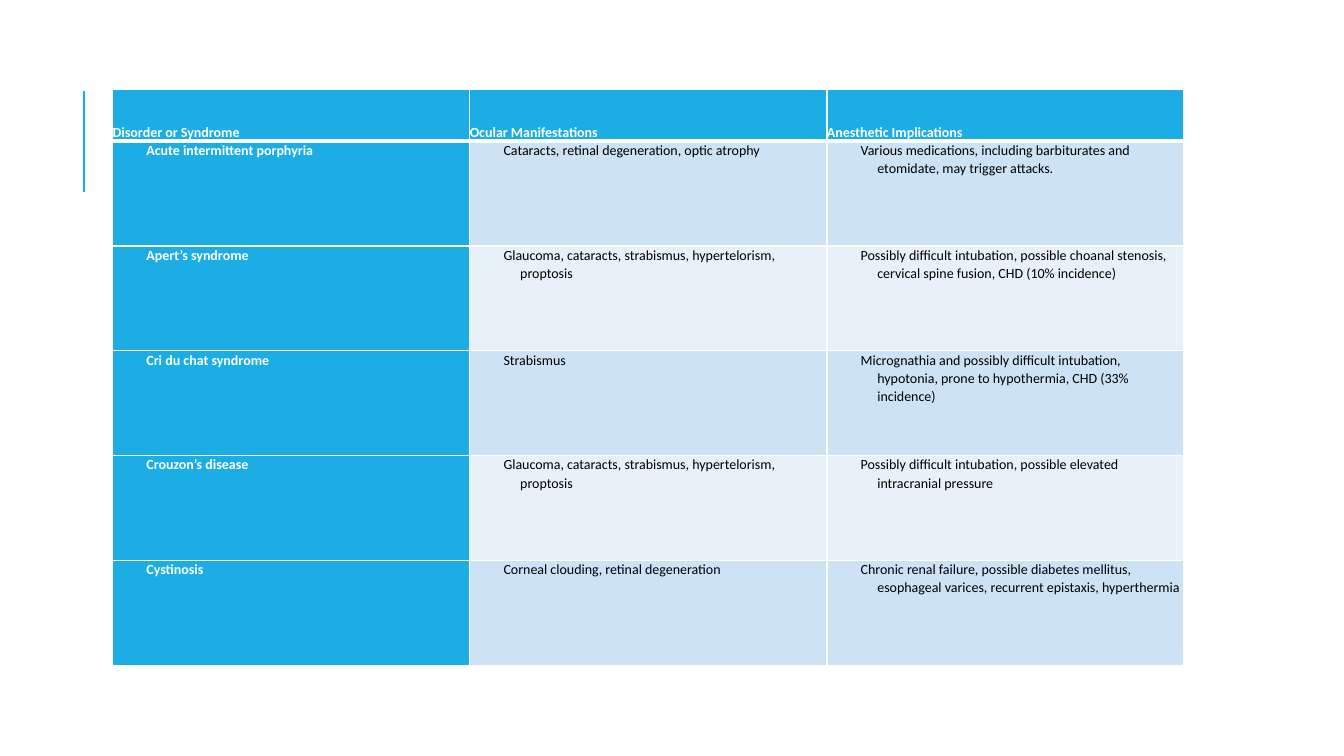
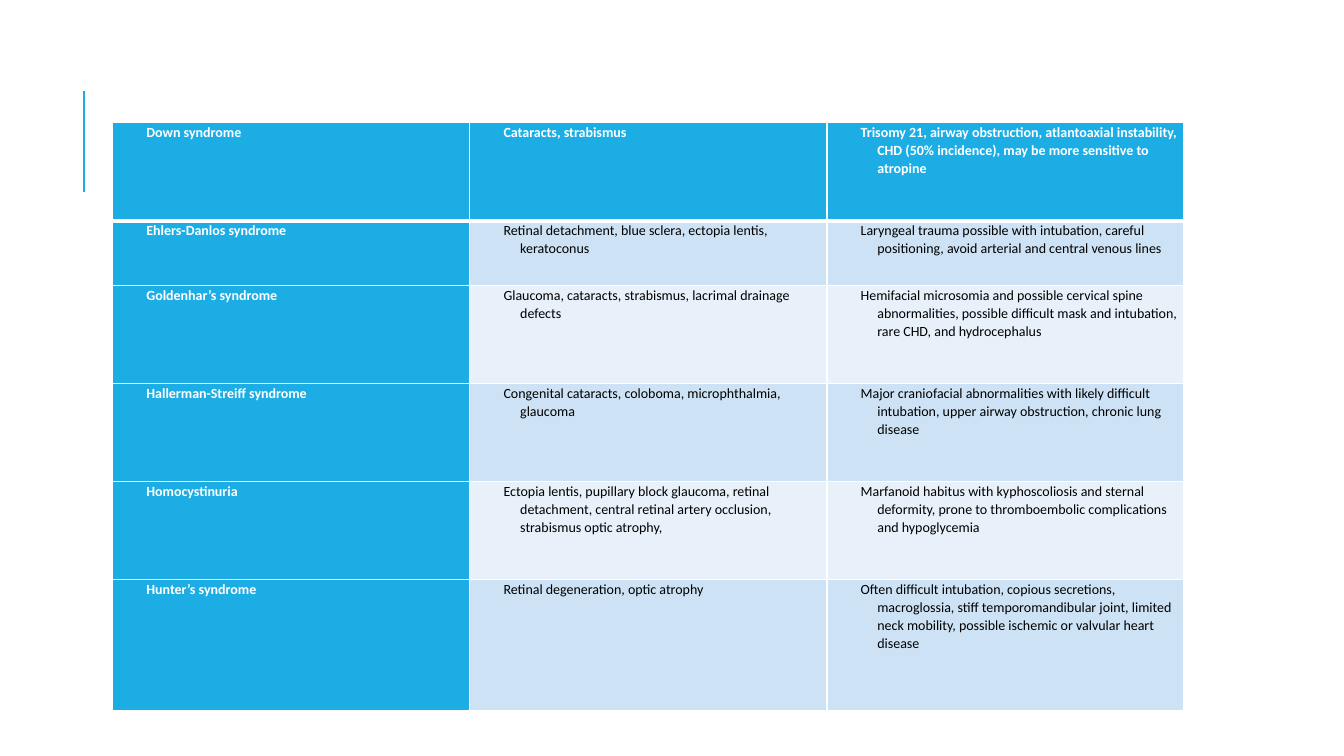
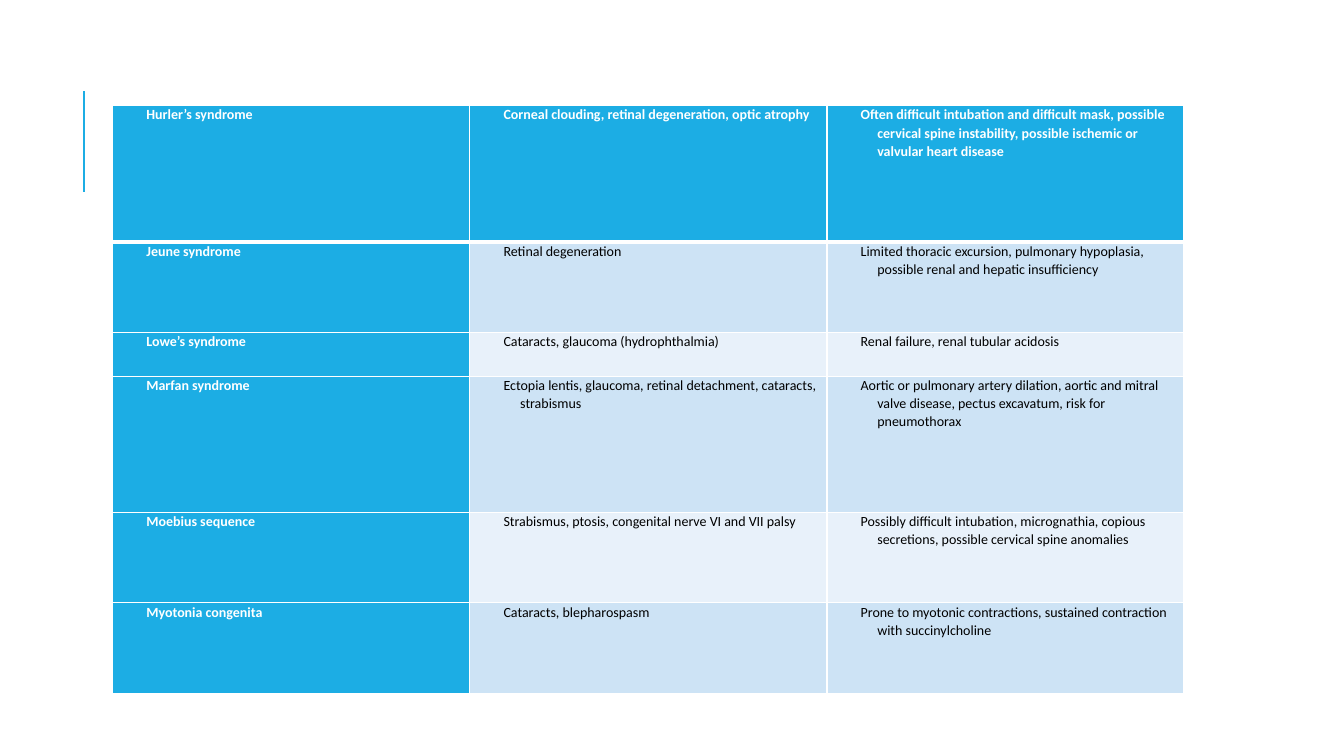
from lxml import etree
from pptx import Presentation
from pptx.dml.color import RGBColor
from pptx.enum.shapes import MSO_CONNECTOR
from pptx.enum.text import MSO_ANCHOR
from pptx.oxml.ns import qn
from pptx.util import Cm, Pt

STRAIGHT = MSO_CONNECTOR.STRAIGHT
TOP, BOTTOM = MSO_ANCHOR.TOP, MSO_ANCHOR.BOTTOM

# Shared look
ACCENT = RGBColor(0x1C, 0xAD, 0xE4)
BAND_DARK = RGBColor(0xCD, 0xE3, 0xF5)
BAND_LIGHT = RGBColor(0xE8, 0xF1, 0xFA)
WHITE = RGBColor(0xFF, 0xFF, 0xFF)
BLACK = RGBColor(0x00, 0x00, 0x00)
FONT = "Calibri"
TABLE_LEFT = 2.84
COLUMN_WIDTH = 9
CELL_INDENT = 0.85
HANGING = 0.42
THIN, THICK = 1, 3

# Table contents
HEADINGS = ("Disorder or Syndrome", "Ocular Manifestations", "Anesthetic Implications")
DISORDERS_A_TO_C = [
    ("Acute intermittent porphyria",
     "Cataracts, retinal degeneration, optic atrophy",
     "Various medications, including barbiturates and etomidate, may trigger attacks."),
    ("Apert’s syndrome",
     "Glaucoma, cataracts, strabismus, hypertelorism, proptosis",
     "Possibly difficult intubation, possible choanal stenosis, cervical spine fusion, "
     "CHD (10% incidence)"),
    ("Cri du chat syndrome",
     "Strabismus",
     "Micrognathia and possibly difficult intubation, hypotonia, prone to hypothermia, "
     "CHD (33% incidence)"),
    ("Crouzon’s disease",
     "Glaucoma, cataracts, strabismus, hypertelorism, proptosis",
     "Possibly difficult intubation, possible elevated intracranial pressure"),
    ("Cystinosis",
     "Corneal clouding, retinal degeneration",
     "Chronic renal failure, possible diabetes mellitus, esophageal varices, "
     "recurrent epistaxis, hyperthermia"),
]
DISORDERS_D_TO_HUN = [
    ("Down syndrome",
     "Cataracts, strabismus",
     "Trisomy 21, airway obstruction, atlantoaxial instability, CHD (50% incidence), "
     "may be more sensitive to atropine"),
    ("Ehlers-Danlos syndrome",
     "Retinal detachment, blue sclera, ectopia lentis, keratoconus",
     "Laryngeal trauma possible with intubation, careful positioning, "
     "avoid arterial and central venous lines"),
    ("Goldenhar’s syndrome",
     "Glaucoma, cataracts, strabismus, lacrimal drainage defects",
     "Hemifacial microsomia and possible cervical spine abnormalities, "
     "possible difficult mask and intubation, rare CHD, and hydrocephalus"),
    ("Hallerman-Streiff syndrome",
     "Congenital cataracts, coloboma, microphthalmia, glaucoma",
     "Major craniofacial abnormalities with likely difficult intubation, "
     "upper airway obstruction, chronic lung disease"),
    ("Homocystinuria",
     "Ectopia lentis, pupillary block glaucoma, retinal detachment, "
     "central retinal artery occlusion, strabismus optic atrophy,",
     "Marfanoid habitus with kyphoscoliosis and sternal deformity, "
     "prone to thromboembolic complications and hypoglycemia"),
    ("Hunter’s syndrome",
     "Retinal degeneration, optic atrophy",
     "Often difficult intubation, copious secretions, macroglossia, "
     "stiff temporomandibular joint, limited neck mobility, "
     "possible ischemic or valvular heart disease"),
]
DISORDERS_HUR_TO_M = [
    ("Hurler’s syndrome",
     "Corneal clouding, retinal degeneration, optic atrophy",
     "Often difficult intubation and difficult mask, possible cervical spine instability, "
     "possible ischemic or valvular heart disease"),
    ("Jeune syndrome",
     "Retinal degeneration",
     "Limited thoracic excursion, pulmonary hypoplasia, "
     "possible renal and hepatic insufficiency"),
    ("Lowe’s syndrome",
     "Cataracts, glaucoma (hydrophthalmia)",
     "Renal failure, renal tubular acidosis"),
    ("Marfan syndrome",
     "Ectopia lentis, glaucoma, retinal detachment, cataracts, strabismus",
     "Aortic or pulmonary artery dilation, aortic and mitral valve disease, "
     "pectus excavatum, risk for pneumothorax"),
    ("Moebius sequence",
     "Strabismus, ptosis, congenital nerve VI and VII palsy",
     "Possibly difficult intubation, micrognathia, copious secretions, "
     "possible cervical spine anomalies"),
    ("Myotonia congenita",
     "Cataracts, blepharospasm",
     "Prone to myotonic contractions, sustained contraction with succinylcholine"),
]

# Each slide: table top, row heights (cm), rows
TABLES = [
    (2.26, [1.3] + [2.64] * 5, [HEADINGS] + DISORDERS_A_TO_C),
    (3.09, [2.47, 1.64, 2.47, 2.47, 2.47, 3.29], DISORDERS_D_TO_HUN),
    (2.66, [3.43, 2.28, 1.11, 3.43, 2.28, 2.28], DISORDERS_HUR_TO_M),
]


def write_text(text_frame, text, *, color=BLACK, bold=False, size=10, hanging=0, after=0):
    paragraph = text_frame.paragraphs[0]
    paragraph.line_spacing = 1.07
    paragraph.space_after = Pt(after)
    if hanging:
        properties = paragraph._p.get_or_add_pPr()
        properties.set("marL", str(Cm(hanging)))
        properties.set("indent", str(-Cm(hanging)))
    run = paragraph.add_run()
    run.text = text
    run.font.name = FONT
    run.font.size = Pt(size)
    run.font.bold = bold
    run.font.color.rgb = color


def set_borders(cell, top, bottom):
    """Draw white borders; they must stand before the fill in the cell's XML."""
    properties = cell._tc.get_or_add_tcPr()
    widths = {"a:lnL": THIN, "a:lnR": THIN, "a:lnT": top, "a:lnB": bottom}
    for position, (tag, width) in enumerate(widths.items()):
        line = etree.Element(qn(tag), w=str(Pt(width)))
        fill = etree.SubElement(line, qn("a:solidFill"))
        etree.SubElement(fill, qn("a:srgbClr"), val=str(WHITE))
        properties.insert(position, line)


def format_cell(cell, text, row, column):
    is_heading = text in HEADINGS
    is_accent = row == 0 or column == 0
    band = BAND_DARK if row % 2 else BAND_LIGHT
    cell.fill.solid()
    cell.fill.fore_color.rgb = ACCENT if is_accent else band
    set_borders(cell, top=THICK if row == 1 else THIN, bottom=THICK if row == 0 else THIN)
    cell.margin_left = Cm(0 if is_heading else CELL_INDENT)
    cell.margin_right = cell.margin_top = cell.margin_bottom = 0
    cell.vertical_anchor = BOTTOM if is_heading else TOP
    write_text(cell.text_frame, text, color=WHITE if is_accent else BLACK, bold=is_accent,
               hanging=0 if is_heading else HANGING, after=0 if is_heading else 18)


def add_disorder_table(slide, top, heights, rows):
    columns = len(HEADINGS)
    table = slide.shapes.add_table(
        len(rows), columns, Cm(TABLE_LEFT), Cm(top),
        Cm(COLUMN_WIDTH * columns), Cm(sum(heights))).table
    table.first_col = True
    table.horz_banding = False
    for column in table.columns:
        column.width = Cm(COLUMN_WIDTH)
    for row, (height, texts) in enumerate(zip(heights, rows)):
        table.rows[row].height = Cm(height)
        for column, text in enumerate(texts):
            format_cell(table.cell(row, column), text, row, column)


def add_accent_line(slide):
    connector = slide.shapes.add_connector(STRAIGHT, Cm(2.12), Cm(4.83), Cm(2.12), Cm(2.29))
    connector.line.color.rgb = ACCENT
    connector.line.width = Pt(1.5)
    etree.SubElement(connector._element.spPr, qn("a:effectLst"))


def main():
    presentation = Presentation()
    presentation.slide_width = Cm(33.87)
    presentation.slide_height = Cm(19.05)
    blank = presentation.slide_layouts[6]
    for top, heights, rows in TABLES:
        slide = presentation.slides.add_slide(blank)
        add_accent_line(slide)
        add_disorder_table(slide, top, heights, rows)
    presentation.save("out.pptx")


if __name__ == "__main__":
    main()
